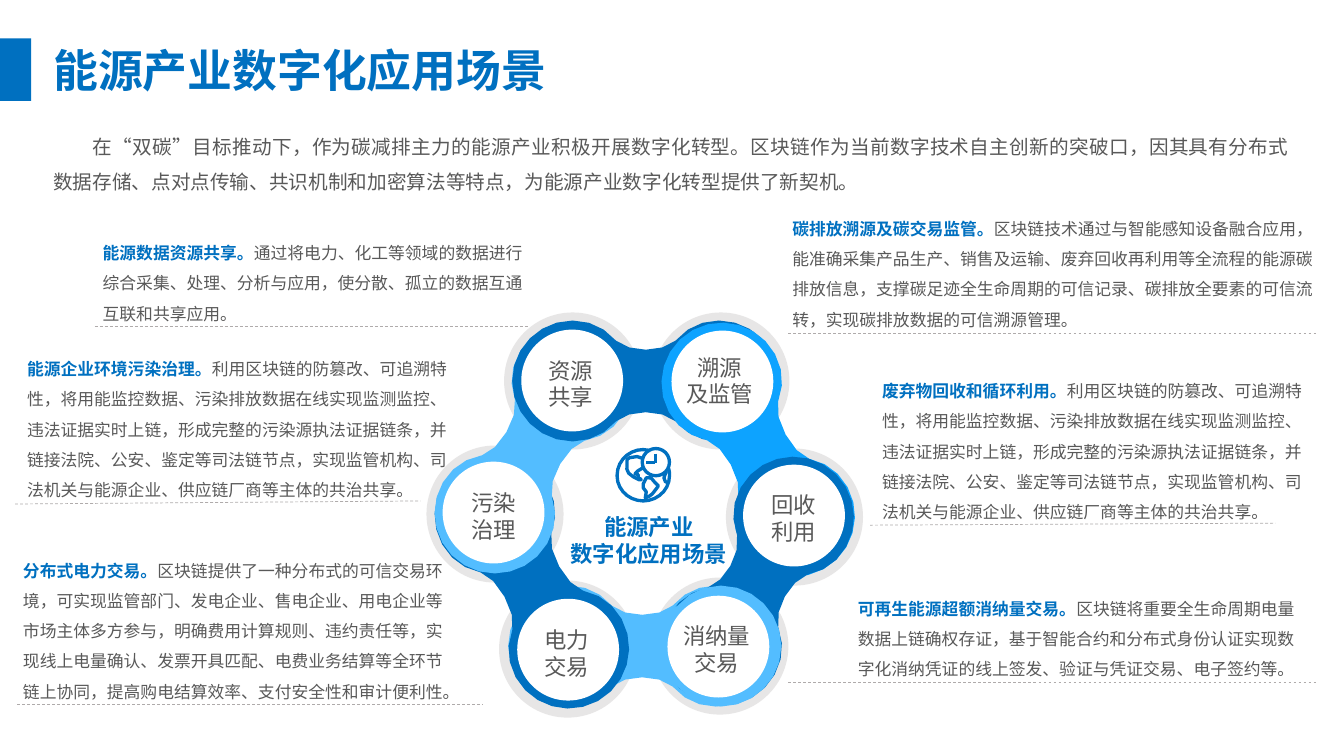
from math import dist

from lxml import etree
from pptx import Presentation
from pptx.dml.color import RGBColor
from pptx.enum.dml import MSO_LINE
from pptx.enum.shapes import MSO_CONNECTOR, MSO_SHAPE
from pptx.enum.text import MSO_ANCHOR, MSO_AUTO_SIZE, PP_ALIGN
from pptx.oxml.ns import qn
from pptx.util import Inches, Pt

RECTANGLE, ELLIPSE = MSO_SHAPE.RECTANGLE, MSO_SHAPE.OVAL
STRAIGHT, DASH = MSO_CONNECTOR.STRAIGHT, MSO_LINE.DASH
LEFT, CENTER, JUSTIFY = PP_ALIGN.LEFT, PP_ALIGN.CENTER, PP_ALIGN.JUSTIFY
TOP, GROW = MSO_ANCHOR.TOP, MSO_AUTO_SIZE.SHAPE_TO_FIT_TEXT

BLUE, SKY, AZURE = "0070C0", "53BDFF", "0DA3FF"
GRAY, HALO, RULE, WHITE = "595959", "E7E6E6", "AFABAB", "FFFFFF"
ICON_LINE = 2.38


def rgb(value):
    return RGBColor.from_string(value)


def flatten(controls, pitch):
    points = [controls[0]]
    for i in range(0, len(controls) - 3, 3):
        a, b, c, d = controls[i:i + 4]
        steps = max(1, round(dist(a, d) / pitch))
        for step in range(1, steps + 1):
            t = step / steps
            s = 1 - t
            points.append(tuple(
                s ** 3 * p + 3 * s * s * t * q + 3 * s * t * t * r + t ** 3 * e
                for p, q, r, e in zip(a, b, c, d)))
    return points


def half_link(start, end):
    length = dist(start, end)
    ux, uy = (end[0] - start[0]) / length, (end[1] - start[1]) / length
    side = flatten([(-.6, 0), (-.6, .33), (-.33, .6), (0, .6), (.17, .6), (.32, .53),
                    (.43, .4), (.5, .34), (.61, .31), (length / 2, .31)], 0.15)
    outline = [(u, -v) for u, v in reversed(side)] + side[1:]
    return [(start[0] + u * ux - v * uy, start[1] + u * uy + v * ux) for u, v in outline]


class SlideBuilder:
    def __init__(self, slide, font="Arial"):
        self.shapes = slide.shapes
        self.font = font

    def style_font(self, font, size, color, bold=False):
        font.name, font.size, font.bold = self.font, Pt(size), bold
        font.color.rgb = rgb(color)

    def paint(self, shape, fill=None, line=None):
        shape.shadow.inherit = False
        if fill:
            shape.fill.solid()
            shape.fill.fore_color.rgb = rgb(fill)
        else:
            shape.fill.background()
        if line:
            shape.line.color.rgb = rgb(line)
            shape.line.width = Pt(ICON_LINE)
        else:
            shape.line.fill.background()

    def preset(self, kind, box, fill=None, line=None):
        self.paint(self.shapes.add_shape(kind, *map(Inches, box)), fill, line)

    def outline(self, points, fill=None, line=None, close=True):
        scaled = [(Inches(x), Inches(y)) for x, y in points]
        builder = self.shapes.build_freeform(*scaled[0], scale=1.0)
        builder.add_line_segments(scaled[1:], close=close)
        self.paint(builder.convert_to_shape(), fill, line)

    def line(self, start, end, color, width, dash=None):
        connector = self.shapes.add_connector(STRAIGHT, *map(Inches, (*start, *end)))
        connector.line.color.rgb = rgb(color)
        connector.line.width = Pt(width)
        if dash:
            connector.line.dash_style = dash
        etree.SubElement(connector._element.spPr, qn("a:effectLst"))

    def frame(self, shape):
        frame = shape.text_frame
        frame.word_wrap, frame.auto_size, frame.vertical_anchor = True, GROW, TOP
        return frame

    def title(self, text, box):
        title = self.shapes.title
        title.left, title.top, title.width, title.height = map(Inches, box)
        paragraph = self.frame(title).paragraphs[0]
        paragraph.text, paragraph.alignment = text, CENTER
        self.style_font(paragraph.font, 32, BLUE, True)

    def text(self, lines, box, size, color, bold=False, align=CENTER, spacing=None, indent=0):
        frame = self.frame(self.shapes.add_textbox(*map(Inches, box)))
        for i, line in enumerate(lines):
            paragraph = frame.add_paragraph() if i else frame.paragraphs[0]
            paragraph.text, paragraph.alignment = line, align
            paragraph.line_spacing = spacing
            self.style_font(paragraph.font, size, color, bold)
            if indent:
                paragraph._p.get_or_add_pPr().set("indent", str(Inches(indent)))

    def scenario(self, heading, body, box, rule_start, rule_end):
        self.line(rule_start, rule_end, RULE, 0.5, DASH)
        paragraph = self.frame(self.shapes.add_textbox(*map(Inches, box))).paragraphs[0]
        paragraph.alignment, paragraph.line_spacing = LEFT, 1.5
        for content, color, bold in ((heading, BLUE, True), (body, GRAY, False)):
            run = paragraph.add_run()
            run.text = content
            self.style_font(run.font, 12, color, bold)


LINKS = [
    ((5.64, 6.41), (7.1, 6.41), SKY),
    ((4.91, 5.11), (5.64, 6.43), BLUE),
    ((4.91, 5.09), (5.67, 3.8), SKY),
    ((5.68, 3.78), (7.13, 3.78), BLUE),
    ((7.16, 3.8), (7.88, 5.12), AZURE),
    ((7.87, 5.13), (7.16, 6.4), BLUE),
]
NODES = [
    (("资源", "共享"), (5, 3.1), (5.17, 3.27), (5.13, 3.49)),
    (("溯源", "及监管"), (6.47, 3.1), (6.66, 3.28), (6.61, 3.46)),
    (("回收", "利用"), (7.2, 4.45), (7.37, 4.61), (7.34, 4.82)),
    (("消纳量", "交易"), (6.46, 5.73), (6.62, 5.91), (6.58, 6.12)),
    (("电力", "交易"), (4.95, 5.76), (5.13, 5.94), (5.09, 6.16)),
    (("污染", "治理"), (4.23, 4.42), (4.39, 4.58), (4.37, 4.8)),
]
GLOBE_CURVES = [
    [(6.45, 4.47), (6.43, 4.46), (6.41, 4.46), (6.38, 4.46), (6.24, 4.46), (6.12, 4.57),
     (6.12, 4.72), (6.12, 4.86), (6.24, 4.97), (6.38, 4.97), (6.52, 4.97), (6.64, 4.86),
     (6.64, 4.72), (6.64, 4.69), (6.64, 4.67), (6.63, 4.64)],
    [(6.38, 4.55), (6.36, 4.54), (6.33, 4.54), (6.32, 4.53), (6.27, 4.53), (6.2, 4.55),
     (6.22, 4.56), (6.23, 4.58), (6.23, 4.61), (6.22, 4.62), (6.21, 4.65), (6.22, 4.7),
     (6.28, 4.73), (6.34, 4.77), (6.35, 4.76), (6.36, 4.76), (6.37, 4.77), (6.35, 4.77),
     (6.35, 4.75), (6.35, 4.73), (6.34, 4.74), (6.33, 4.74), (6.33, 4.74), (6.32, 4.72),
     (6.33, 4.71), (6.33, 4.7), (6.32, 4.72), (6.3, 4.7), (6.29, 4.68), (6.31, 4.67),
     (6.33, 4.67), (6.36, 4.68), (6.37, 4.66), (6.38, 4.64)],
    [(6.38, 4.8), (6.37, 4.83), (6.34, 4.81), (6.38, 4.84), (6.41, 4.87), (6.42, 4.81),
     (6.41, 4.88), (6.41, 4.95), (6.35, 4.95), (6.4, 4.94), (6.44, 4.92), (6.44, 4.93),
     (6.47, 4.9), (6.51, 4.86), (6.51, 4.84), (6.53, 4.82), (6.55, 4.79), (6.52, 4.8),
     (6.49, 4.78), (6.48, 4.76), (6.44, 4.71), (6.41, 4.74), (6.38, 4.77), (6.38, 4.8),
     (6.38, 4.8)],
    [(6.61, 4.68), (6.61, 4.69), (6.61, 4.69), (6.6, 4.7), (6.59, 4.72), (6.57, 4.76),
     (6.6, 4.78), (6.62, 4.8), (6.63, 4.79), (6.63, 4.79)],
]
POLLUTION_BODY = "利用区块链的防篡改、可追溯特性，将用能监控数据、污染排放数据在线实现监测监控、违法证据实时上链，形成完整的污染源执法证据链条，并链接法院、公安、鉴定等司法链节点，实现监管机构、司法机关与能源企业、供应链厂商等主体的共治共享。"
SCENARIOS = [
    ("能源数据资源共享。",
     "通过将电力、化工等领域的数据进行综合采集、处理、分析与应用，使分散、孤立的数据互通互联和共享应用。",
     (0.92, 2.26, 4.37, 0.98), (0.94, 3.24), (5.25, 3.24)),
    ("碳排放溯源及碳交易监管。",
     "区块链技术通过与智能感知设备融合应用，能准确采集产品生产、销售及运输、废弃回收再利用等全流程的能源碳排放信息，支撑碳足迹全生命周期的可信记录、碳排放全要素的可信流转，实现碳排放数据的可信溯源管理。",
     (7.76, 2.02, 5.4, 1.28), (7.82, 3.31), (13.07, 3.31)),
    ("能源企业环境污染治理。", POLLUTION_BODY,
     (0.17, 3.41, 4.37, 1.58), (0.15, 5), (4.17, 4.97)),
    ("废弃物回收和循环利用。", POLLUTION_BODY,
     (8.65, 3.63, 4.37, 1.58), (8.63, 5.21), (12.65, 5.19)),
    ("分布式电力交易。",
     "区块链提供了一种分布式的可信交易环境，可实现监管部门、发电企业、售电企业、用电企业等市场主体多方参与，明确费用计算规则、违约责任等，实现线上电量确认、发票开具匹配、电费业务结算等全环节链上协同，提高购电结算效率、支付安全性和审计便利性。",
     (0.13, 5.41, 4.37, 1.58), (0.17, 6.99), (4.79, 6.99)),
    ("可再生能源超额消纳量交易。",
     "区块链将重要全生命周期电量数据上链确权存证，基于智能合约和分布式身份认证实现数字化消纳凭证的线上签发、验证与凭证交易、电子签约等。",
     (8.41, 5.79, 4.57, 0.98), (7.82, 6.77), (13.07, 6.77)),
]


def main():
    deck = Presentation()
    deck.slide_width, deck.slide_height = Inches(13.33), Inches(7.5)
    page = SlideBuilder(deck.slides.add_slide(deck.slide_layouts[5]))

    page.preset(RECTANGLE, (0, 0.38, 0.31, 0.62), BLUE)
    page.title("能源产业数字化应用场景", (0.03, 0.37, 5.89, 0.64))
    page.text(["在“双碳”目标推动下，作为碳减排主力的能源产业积极开展数字化转型。区块链作为当前数字技术自主创新的突破口，因其具有分布式数据存储、点对点传输、共识机制和加密算法等特点，为能源产业数字化转型提供了新契机。"],
              (0.43, 1.17, 12.46, 0.77), 14, GRAY, align=JUSTIFY, spacing=1.5, indent=0.39)

    for _, halo, _, _ in NODES:
        page.preset(ELLIPSE, (*halo, 1.36, 1.36), HALO)
    for start, end, color in LINKS:
        page.outline(half_link(start, end) + half_link(end, start), color)
    page.outline(half_link((7.15, 6.41), (5.69, 6.41)), SKY)
    for label, _, disc, label_corner in NODES:
        page.preset(ELLIPSE, (*disc, 1.01, 1.01), WHITE)
        page.text(label, (*label_corner, 1.06, 0.64), 16, GRAY)

    page.text(["能源产业", "数字化应用场景"], (5.48, 5.04, 1.91, 0.64), 16, BLUE, bold=True)
    page.preset(ELLIPSE, (6.37, 4.45, 0.27, 0.27), line=BLUE)
    for hand_start in ((6.41, 4.59), (6.5, 4.5)):
        page.line(hand_start, (6.5, 4.59), BLUE, ICON_LINE)
    for curve in GLOBE_CURVES:
        page.outline(flatten(curve, 0.05), line=BLUE, close=curve[0] == curve[-1])

    for scenario in SCENARIOS:
        page.scenario(*scenario)
    deck.save("out.pptx")


if __name__ == "__main__":
    main()
